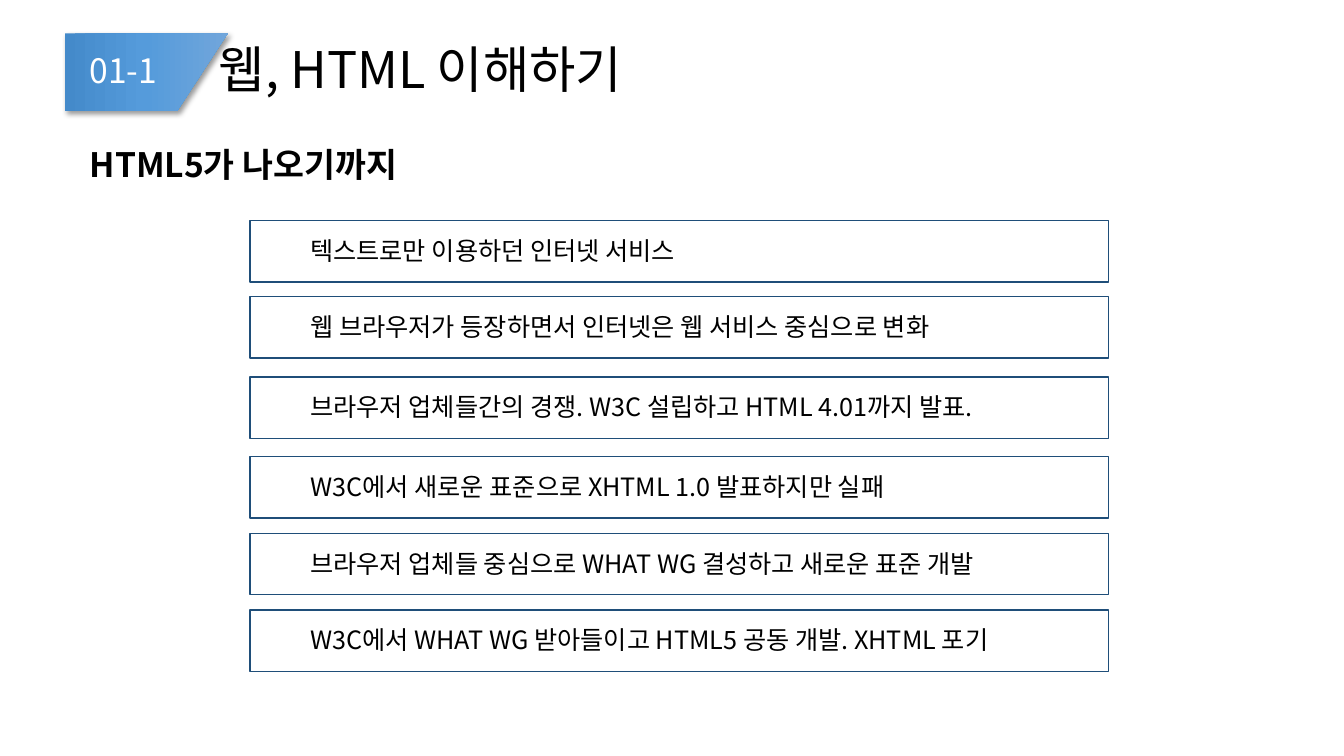
from copy import deepcopy

from pptx import Presentation
from pptx import util as u
from pptx.dml.color import RGBColor
from pptx.enum import shapes, text
from pptx.oxml import parse_xml
from pptx.oxml.ns import nsdecls, qn

FONT = "Noto Sans CJK KR"
BANNER_STOPS = [(0, "448ACA"), (50000, "559BDB"), (100000, "71A6DB")]
HISTORY = [
    (5.56, "텍스트로만 이용하던 인터넷 서비스"),
    (7.47, "웹 브라우저가 등장하면서 인터넷은 웹 서비스 중심으로 변화"),
    (9.5, "브라우저 업체들간의 경쟁. W3C 설립하고 HTML 4.01까지 발표."),
    (11.5, "W3C에서 새로운 표준으로 XHTML 1.0 발표하지만 실패"),
    (13.44, "브라우저 업체들 중심으로 WHAT WG 결성하고 새로운 표준 개발"),
    (15.37, "W3C에서 WHAT WG 받아들이고 HTML5 공동 개발. XHTML 포기"),
]


def color(value):
    """Return the colour of a hex string."""
    return RGBColor.from_string(value)


def add_label(slide, box, words, size, ink="000000", bold=False, **paragraph_format):
    """Place one line of text in a box given in centimetres."""
    label = slide.shapes.add_textbox(*map(u.Cm, box))
    frame = label.text_frame
    frame.word_wrap = True
    line = frame.paragraphs[0]
    for name, value in paragraph_format.items():
        setattr(line, name, value)
    run = line.add_run()
    run.text = words
    for name, value in {"name": FONT, "size": u.Pt(size), "bold": bold}.items():
        setattr(run.font, name, value)
    run.font.color.rgb = color(ink)
    east_asian = parse_xml(f'<a:ea {nsdecls("a")} typeface="{FONT}"/>')
    run.font._element.find(qn("a:latin")).addnext(east_asian)
    return frame


def add_banner(slide, left, top, width, height):
    """Draw the slanted gradient banner that holds the section number."""
    outline = slide.shapes.build_freeform(u.Cm(left), u.Cm(top))
    corners = [(left + width, top), (left + width * 0.69, top + height), (left, top + height)]
    outline.add_line_segments([(u.Cm(x), u.Cm(y)) for x, y in corners])
    banner = outline.convert_to_shape()
    banner.line.fill.background()
    banner.fill.gradient()
    banner.fill.gradient_angle = 0
    first_stop = banner.fill.gradient_stops[0]._gs
    first_stop.addnext(deepcopy(first_stop))
    for stop, (position, value) in zip(banner.fill.gradient_stops, BANNER_STOPS):
        stop.color.rgb = color(value)
        stop._gs.set("pos", str(position))
    banner.shadow.inherit = False
    banner._element.spPr.find(qn("a:effectLst")).append(parse_xml(
        f'<a:outerShdw {nsdecls("a")} blurRad="50800" dist="38100" dir="2700000" '
        'algn="tl" rotWithShape="0"><a:srgbClr val="000000">'
        '<a:alpha val="40000"/></a:srgbClr></a:outerShdw>'))


def add_heading(slide, left, top):
    """Place the banner, section number, title and subtitle."""
    add_banner(slide, left, top, 4.11, 1.96)
    title = add_label(slide, (left + 3.35, top, 26.54, 1.96),
                      " 웹, HTML 이해하기", 36, line_spacing=0.9)
    title.vertical_anchor = text.MSO_ANCHOR.MIDDLE
    add_label(slide, (left + 0.38, top + 0.3, 2.8, 1.27), "01-1", 24, "FFFFFF")
    add_label(slide, (left + 0.38, top + 2.67, 9.86, 1.27), "HTML5가 나오기까지", 24, bold=True)


def add_step(slide, left, top, width, height, words):
    """Draw one outlined step of the history with its text."""
    frame = slide.shapes.add_shape(
        shapes.MSO_SHAPE.RECTANGLE, *map(u.Cm, (left, top, width, height)))
    frame.shadow.inherit = False
    frame.fill.background()
    frame.line.color.rgb = color("1F4E79")
    frame.line.width = u.Pt(1)
    add_label(slide, (left + 1.27, top + 0.24, width - 2.21, 1.02), words, 18)


def main():
    """Build and save the slide."""
    deck = Presentation()
    deck.slide_width, deck.slide_height = u.Cm(33.87), u.Cm(19.05)
    slide = deck.slides.add_slide(deck.slide_layouts[6])
    add_heading(slide, 1.63, 0.84)
    for top, words in HISTORY:
        add_step(slide, 6.3, top, 21.64, 1.55, words)
    deck.save("out.pptx")


if __name__ == "__main__":
    main()
